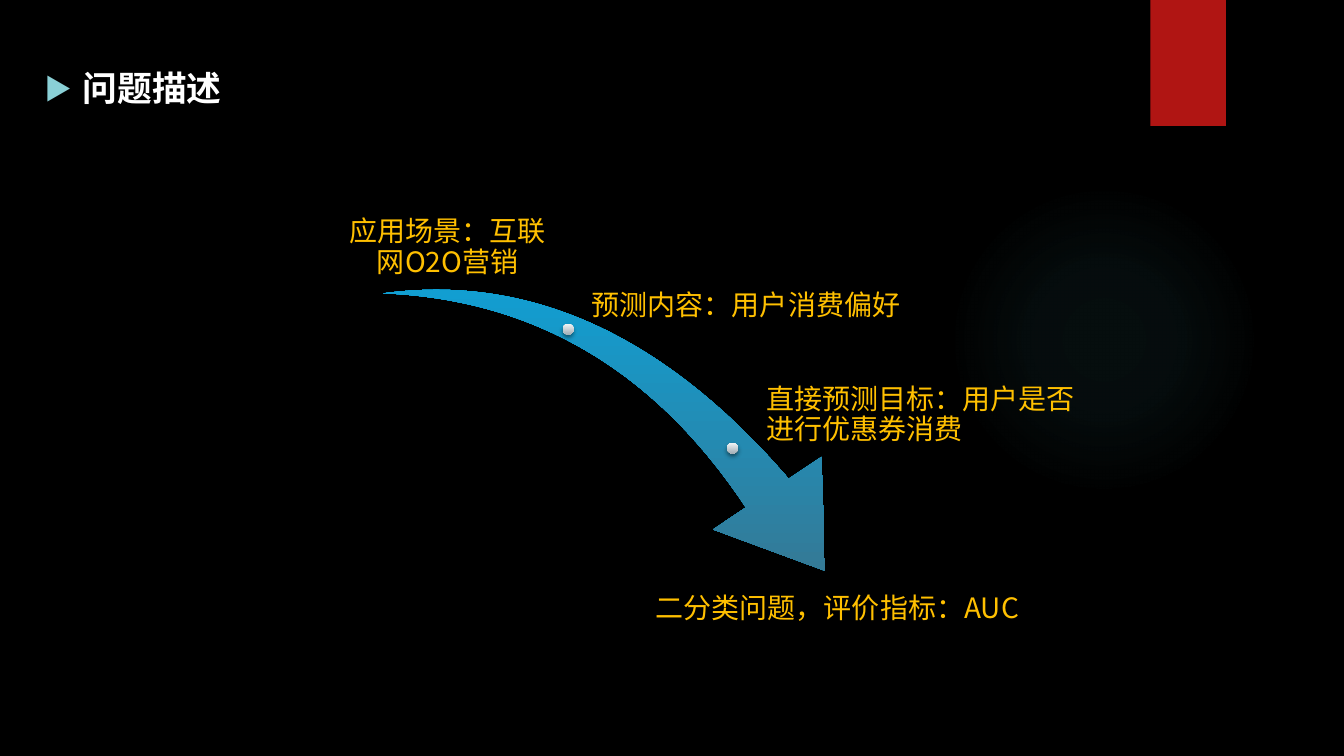
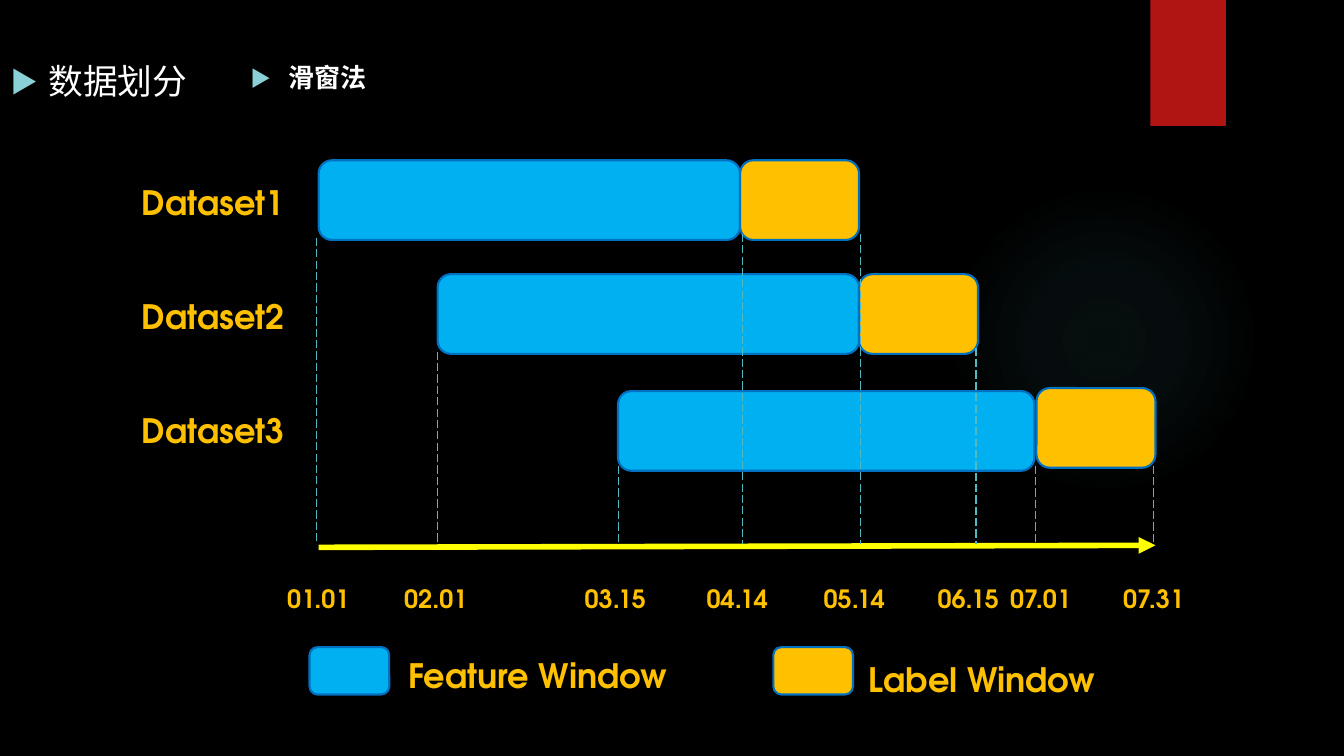
from dataclasses import dataclass
from typing import Any

from lxml import etree
from pptx import Presentation
from pptx.dml.color import RGBColor
from pptx.enum import dml, shapes, text
from pptx.oxml import ns
from pptx.util import Inches, Pt

BLACK = RGBColor(0x00, 0x00, 0x00)
WHITE = RGBColor(0xFF, 0xFF, 0xFF)
RED = RGBColor(0xB0, 0x15, 0x13)
GOLD = RGBColor(0xFF, 0xC0, 0x00)
YELLOW = RGBColor(0xFF, 0xFF, 0x00)
SKY = RGBColor(0x00, 0xB0, 0xF0)
SLATE = RGBColor(0x43, 0x6A, 0x7C)
OUTLINE = RGBColor(0x00, 0x70, 0xC0)
TEAL = RGBColor(0x50, 0xB9, 0xC1)
BULLET = RGBColor(0x8A, 0xD0, 0xD6)
PEARL = RGBColor(0xF5, 0xF7, 0xF8)
STEEL = RGBColor(0xA2, 0xAF, 0xB7)

CJK = "Noto Sans CJK SC"
LATIN = "TeX Gyre Adventor"
LEFT, CENTER, RIGHT = text.PP_ALIGN.LEFT, text.PP_ALIGN.CENTER, text.PP_ALIGN.RIGHT
TOP, MIDDLE, BOTTOM = text.MSO_ANCHOR.TOP, text.MSO_ANCHOR.MIDDLE, text.MSO_ANCHOR.BOTTOM
SHAPE = shapes.MSO_SHAPE

HEADING = {"name": CJK, "size": Pt(24.8)}
SUBHEADING = {"name": LATIN, "size": Pt(18.6), "bold": True}
CALLOUT = {"name": CJK, "size": Pt(20)}
LABEL = {"name": LATIN, "size": Pt(24), "bold": True}
DATE = {"name": LATIN, "size": Pt(18), "bold": True}


@dataclass(frozen=True)
class Box:
    left: float
    top: float
    width: float
    height: float

    def emu(self) -> list[int]:
        return [Inches(v) for v in (self.left, self.top, self.width, self.height)]


@dataclass(frozen=True)
class Callout:
    text: str
    box: Box
    align: Any
    anchor: Any
    spacing: float = 0.9


@dataclass(frozen=True)
class Dataset:
    name: str
    start: float
    top: float
    width: float
    label_left: float
    label_top: float


@dataclass(frozen=True)
class Tick:
    date: str
    x: float
    top: float
    text_left: float


@dataclass(frozen=True)
class Legend:
    name: str
    color: RGBColor
    left: float
    text_left: float
    text_top: float


CALLOUTS = [
    Callout("应用场景：互联网O2O营销", Box(3.39, 1.96, 2.1, 0.83), CENTER, BOTTOM),
    Callout("直接预测目标：用户是否进行优惠券消费", Box(7.57, 3.71, 3.26, 0.83), LEFT, MIDDLE),
    Callout("预测内容：用户消费偏好", Box(5.62, 2.68, 3.34, 0.72), RIGHT, MIDDLE),
    Callout("二分类问题，评价指标：AUC", Box(6.41, 5.83, 3.79, 0.83), CENTER, TOP, 1.0),
]
DOTS = [Box(5.58, 3.21, 0.11, 0.11), Box(7.21, 4.39, 0.11, 0.11)]
DATASETS = [
    Dataset("Dataset1", 3.16, 1.59, 4.18, 7.34, 1.59),
    Dataset("Dataset2", 4.34, 2.72, 4.18, 8.52, 2.72),
    Dataset("Dataset3", 6.13, 3.88, 4.13, 10.28, 3.85),
]
TICKS = [
    Tick("01.01", 3.14, 2.36, 2.75),
    Tick("02.01", 4.34, 3.49, 3.91),
    Tick("03.15", 6.13, 4.62, 5.7),
    Tick("04.14", 7.36, 2.32, 6.91),
    Tick("05.14", 8.53, 2.32, 8.07),
    Tick("06.15", 9.68, 3.45, 9.2),
    Tick("07.01", 10.27, 4.62, 9.92),
    Tick("07.31", 11.44, 4.62, 11.04),
]
LEGENDS = [
    Legend("Feature Window", SKY, 3.07, 3.95, 6.33),
    Legend("Label Window", GOLD, 7.67, 8.52, 6.37),
]


def sub(parent: Any, tag: str, **attrs: Any) -> Any:
    return etree.SubElement(parent, ns.qn(tag), {k: str(v) for k, v in attrs.items()})


def apply(target: Any, values: dict[str, Any]) -> None:
    for name, value in values.items():
        setattr(target, name, value)


def write(sp: Any, content: str, font: dict[str, Any], color: RGBColor = GOLD,
          align: Any = LEFT, anchor: Any = TOP, spacing: float = 1.0,
          margin: tuple[float, float] = (0.1, 0.05), bullet: bool = False) -> None:
    tf = sp.text_frame
    mx, my = (Inches(m) for m in margin)
    apply(tf, {"word_wrap": True, "auto_size": text.MSO_AUTO_SIZE.NONE,
               "vertical_anchor": anchor, "margin_left": mx, "margin_right": mx,
               "margin_top": my, "margin_bottom": my})
    p = tf.paragraphs[0]
    if bullet:
        pPr = p._p.get_or_add_pPr()
        pPr.set("marL", str(Inches(0.38)))
        pPr.set("indent", str(-Inches(0.38)))
        sub(sub(pPr, "a:buClr"), "a:srgbClr", val=BULLET)
        sub(pPr, "a:buSzPct", val=80000)
        sub(pPr, "a:buFont", typeface=CJK)
        sub(pPr, "a:buChar", char="▶")
    apply(p, {"alignment": align, "line_spacing": spacing, "space_before": Pt(0)})
    r = p.add_run()
    r.text = content
    apply(r.font, font)
    r.font.color.rgb = color
    sub(r._r.get_or_add_rPr(), "a:ea", typeface=CJK)


def add_text(s: Any, box: Box, content: str, font: dict[str, Any], **fmt: Any) -> None:
    write(s.shapes.add_textbox(*box.emu()), content, font, **fmt)


def add_heading(sp: Any, box: Box, content: str, font: dict[str, Any]) -> None:
    apply(sp, dict(zip(("left", "top", "width", "height"), box.emu())))
    write(sp, content, font, color=WHITE, bullet=True)


def add_shape(s: Any, kind: Any, box: Box, color: RGBColor | None = None,
              outline: RGBColor | None = None) -> Any:
    sp = s.shapes.add_shape(kind, *box.emu())
    sp.shadow.inherit = False
    if color is not None:
        sp.fill.solid()
        sp.fill.fore_color.rgb = color
    if outline is None:
        sp.line.fill.background()
    else:
        sp.line.color.rgb = outline
        sp.line.width = Pt(1.5)
    return sp


def set_gradient(sp: Any, stops: list[tuple[int, RGBColor, int]], radial: bool = False) -> None:
    grad = etree.Element(ns.qn("a:gradFill"), {"rotWithShape": "0"})
    gs_list = sub(grad, "a:gsLst")
    for pos, color, alpha in stops:
        clr = sub(sub(gs_list, "a:gs", pos=pos * 1000), "a:srgbClr", val=color)
        if alpha < 100:
            sub(clr, "a:alpha", val=alpha * 1000)
    if radial:
        sub(sub(grad, "a:path", path="circle"), "a:fillToRect",
            l=50000, t=50000, r=50000, b=50000)
    else:
        sub(grad, "a:lin", ang=5400000, scaled=0)
    sp._element.spPr.find(ns.qn("a:prstGeom")).addnext(grad)


def set_shadow(sp: Any) -> None:
    effects = sp._element.spPr.find(ns.qn("a:effectLst"))
    shadow = sub(effects, "a:outerShdw", blurRad=Pt(3), dist=Pt(2), dir=5400000, rotWithShape=0)
    sub(sub(shadow, "a:srgbClr", val=BLACK), "a:alpha", val=45000)


def add_line(s: Any, start: tuple[float, float], end: tuple[float, float],
             color: RGBColor, width: float, dashed: bool = False, arrow: bool = False) -> None:
    cx = s.shapes.add_connector(shapes.MSO_CONNECTOR.STRAIGHT,
                                *(Inches(v) for v in start + end))
    cx.line.color.rgb = color
    cx.line.width = Pt(width)
    if dashed:
        cx.line.dash_style = dml.MSO_LINE.LONG_DASH
    if arrow:
        sub(cx.line._get_or_add_ln(), "a:tailEnd", type="triangle")
    sub(cx._element.spPr, "a:effectLst")


def new_slide(prs: Any, layout: int) -> Any:
    s = prs.slides.add_slide(prs.slide_layouts[layout])
    glow = add_shape(s, SHAPE.OVAL, Box(9.41, 1.83, 3.08, 3.08))
    set_gradient(glow, [(0, TEAL, 7), (36, TEAL, 6), (69, TEAL, 0)], radial=True)
    set_shadow(add_shape(s, SHAPE.RECTANGLE, Box(11.41, 0, 0.75, 1.25), RED))
    return s


def build_problem(prs: Any) -> None:
    s = new_slide(prs, 5)
    add_heading(s.shapes.title, Box(0.34, 0.61, 2.36, 0.46), "问题描述",
                {**HEADING, "bold": True})
    swoosh = add_shape(s, SHAPE.SWOOSH_ARROW, Box(3.98, 2.62, 4.46, 3.11))
    swoosh.rotation = 62.6
    swoosh.adjustments[0] = 0.163
    swoosh.adjustments[1] = 0.314
    set_gradient(swoosh, [(0, SKY, 100), (100, SLATE, 100)])
    set_shadow(swoosh)
    for box in DOTS:
        dot = add_shape(s, SHAPE.OVAL, box)
        set_gradient(dot, [(0, PEARL, 100), (100, STEEL, 100)])
        set_shadow(dot)
    for c in CALLOUTS:
        add_text(s, c.box, c.text, CALLOUT, align=c.align, anchor=c.anchor,
                 spacing=c.spacing, margin=(0.03, 0.03))


def build_split(prs: Any) -> None:
    s = new_slide(prs, 1)
    add_heading(s.shapes.title, Box(0, 0.54, 2.67, 0.46), "数据划分",
                {**HEADING, "bold": False})
    add_heading(s.placeholders[1], Box(2.38, 0.56, 2.87, 0.36), "滑窗法", SUBHEADING)
    for d in DATASETS:
        add_shape(s, SHAPE.ROUNDED_RECTANGLE, Box(d.start, d.top, d.width, 0.79), SKY, OUTLINE)
        add_shape(s, SHAPE.ROUNDED_RECTANGLE, Box(d.label_left, d.label_top, 1.18, 0.79),
                  GOLD, OUTLINE)
    add_line(s, (3.16, 5.43), (11.46, 5.41), YELLOW, 4, arrow=True)
    for t in TICKS:
        add_line(s, (t.x, t.top), (t.x, 5.4), TEAL, 0.75, dashed=True)
        add_text(s, Box(t.text_left, 5.65, 0.85, 0.45), t.date, DATE, spacing=1.3)
    for i, d in enumerate(DATASETS):
        add_text(s, Box(1.31, 1.64 + 1.13 * i, 3.1, 0.57), d.name, LABEL, spacing=1.3)
    for g in LEGENDS:
        add_shape(s, SHAPE.ROUNDED_RECTANGLE, Box(g.left, 6.42, 0.79, 0.47), g.color, OUTLINE)
        add_text(s, Box(g.text_left, g.text_top, 3.1, 0.57), g.name, LABEL, spacing=1.3)


def main() -> None:
    prs = Presentation()
    prs.slide_width, prs.slide_height = Inches(13.33), Inches(7.5)
    fill = prs.slide_master.background.fill
    fill.solid()
    fill.fore_color.rgb = BLACK
    build_problem(prs)
    build_split(prs)
    prs.save("out.pptx")


if __name__ == "__main__":
    main()
